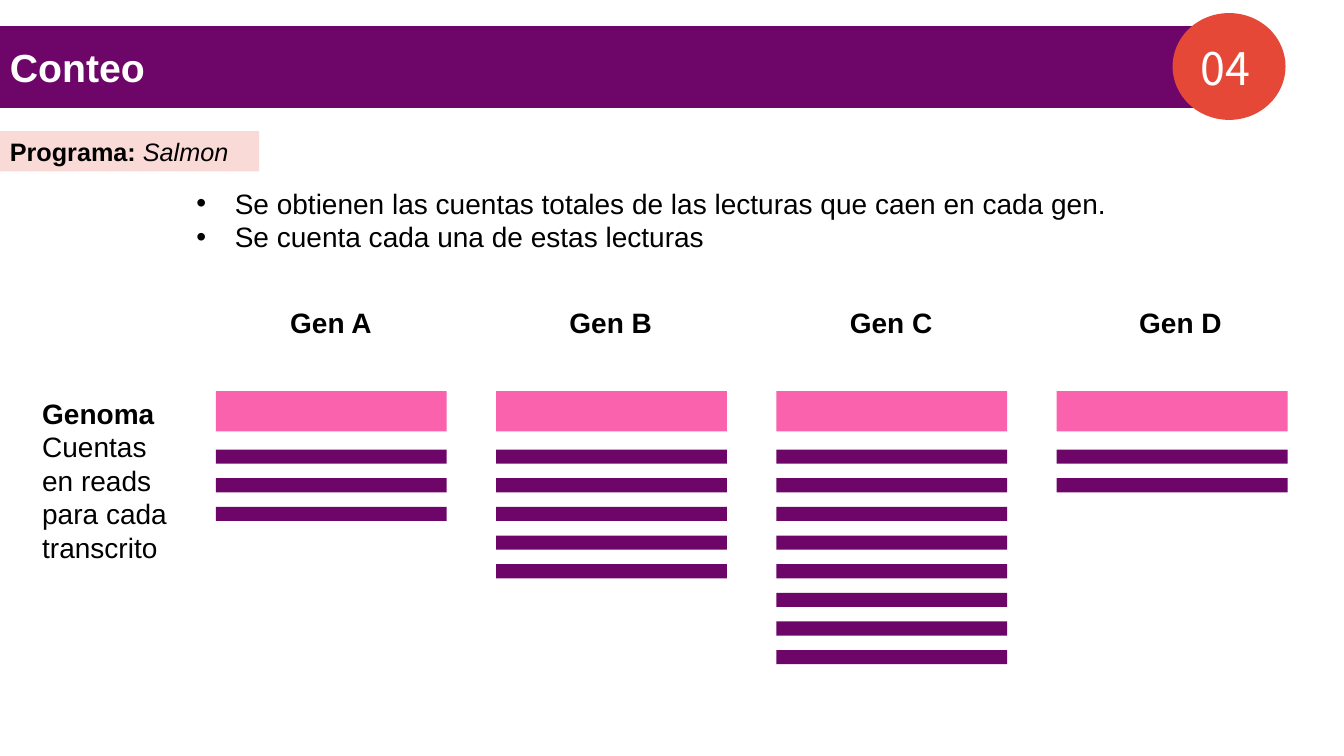
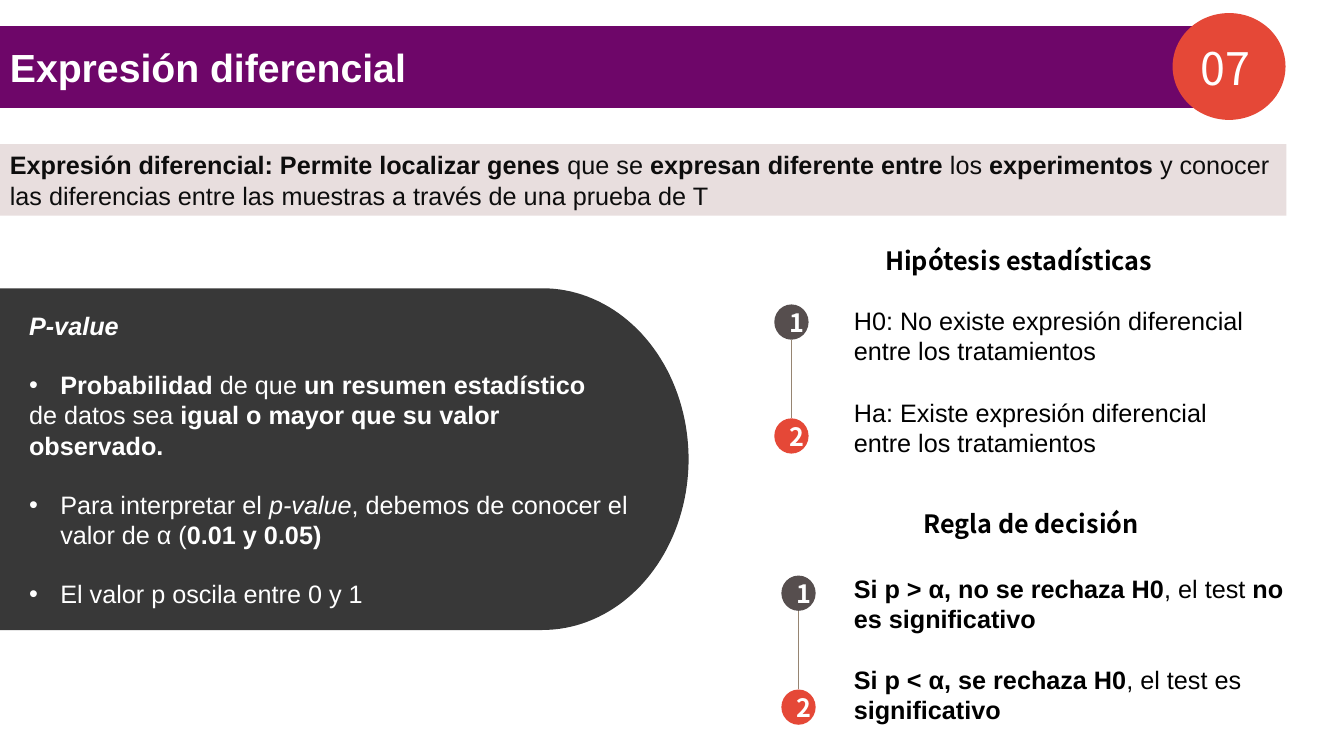
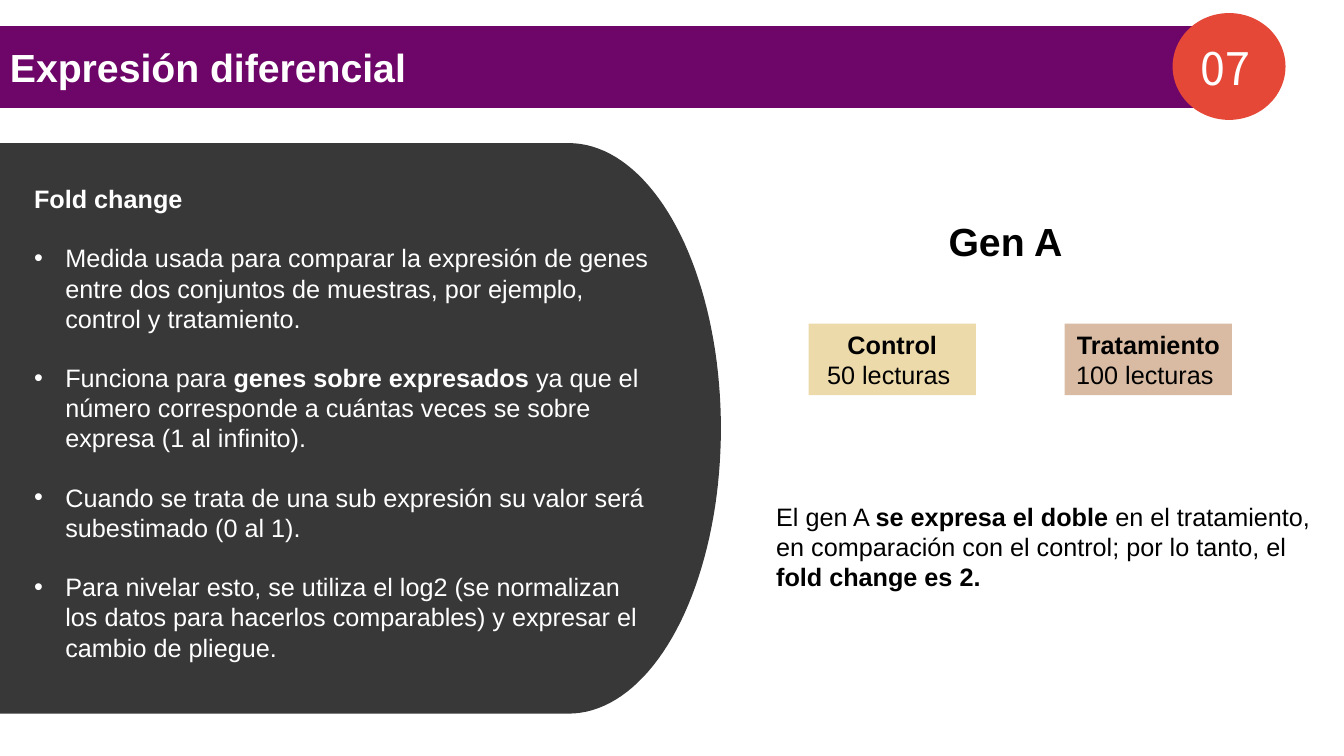
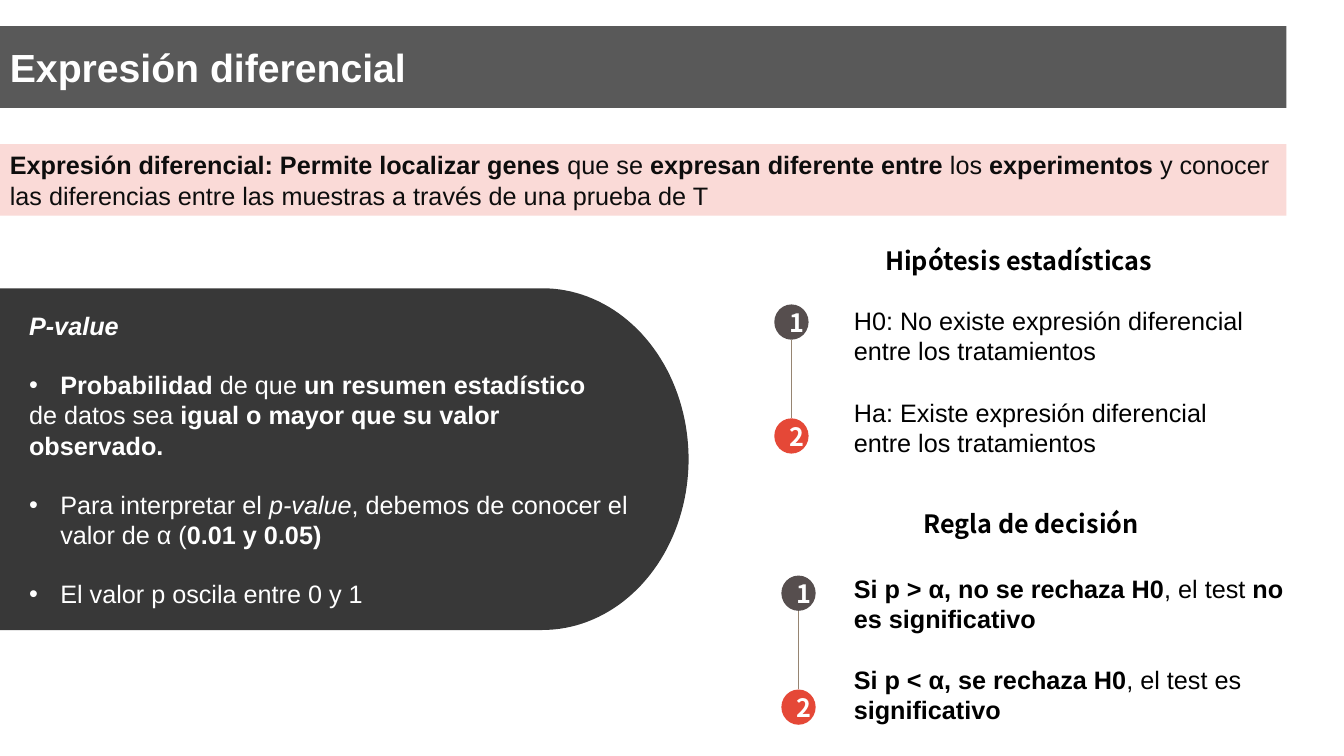
from math import cos, pi, sin
from lxml.etree import SubElement
from pptx import Presentation
from pptx.dml.color import RGBColor
from pptx.enum.shapes import MSO_CONNECTOR, MSO_SHAPE
from pptx.enum.text import MSO_ANCHOR, MSO_AUTO_SIZE, PP_ALIGN
from pptx.oxml.ns import qn
from pptx.util import Inches, Pt

PLUM, RED, PINK, ROSE = "6E0669", "E54837", "FA62AE", "FADAD7"
GRAY, SLATE, SAND, TAN = "595959", "564E4E", "ECDAAA", "D8BBA2"
MIST, LINE, BLACK, INK, WHITE = "E8DEDE", "968572", "000000", "0D0D0D", "FFFFFF"
ARIAL, NOTO = "Arial", "Noto Sans CJK JP"


def rgb(code):
    return RGBColor.from_string(code)


def write(frame, text, size=18, font=ARIAL, color=BLACK, align=PP_ALIGN.LEFT,
          gap=0, indent=0.31, wrap=True):
    """One paragraph per line; * toggles bold, _ toggles italic, a leading • makes a bullet."""
    frame.word_wrap = wrap
    for index, line in enumerate(text.split("\n")):
        para = frame.paragraphs[0] if index == 0 else frame.add_paragraph()
        para.alignment = align
        if line.startswith("•"):
            line = line[1:]
            props = para._p.get_or_add_pPr()
            props.set("marL", str(Inches(indent)))
            props.set("indent", str(-Inches(indent)))
            SubElement(props, qn("a:buFont")).set("typeface", ARIAL)
            SubElement(props, qn("a:buChar")).set("char", "•")
            if index and gap:
                para.space_before = Pt(gap)
        bold = italic = False
        for i, chunk in enumerate(line.split("*")):
            bold = i % 2 == 1
            for j, part in enumerate(chunk.split("_")):
                if j:
                    italic = not italic
                if part:
                    run = para.add_run()
                    run.text = part
                    run.font.name, run.font.size = font, Pt(size)
                    run.font.bold, run.font.italic = bold, italic
                    run.font.color.rgb = rgb(color)


class Deck:
    def __init__(self):
        self.file = Presentation()
        self.file.slide_width, self.file.slide_height = Inches(13.33), Inches(7.5)

    def start(self, title, number=None):
        self.slide = self.file.slides.add_slide(self.file.slide_layouts[6])
        width, fill = (11.89, PLUM) if number else (12.76, GRAY)
        self.shape(0, 0.26, width, 0.81, fill, f"*{title}*", size=28, color=WHITE)
        if number:
            self.shape(11.63, 0.13, 1.12, 1.06, RED, kind=MSO_SHAPE.OVAL)
            self.text(11.81, 0.36, 0.76, 0.64, number, size=32, font=NOTO,
                      color=WHITE, wrap=False)

    def paint(self, shape, fill):
        shape.shadow.inherit = False
        shape.fill.solid()
        shape.fill.fore_color.rgb = rgb(fill)
        shape.line.fill.background()

    def shape(self, x, y, w, h, fill, text="", kind=MSO_SHAPE.RECTANGLE, **style):
        shape = self.slide.shapes.add_shape(kind, Inches(x), Inches(y), Inches(w), Inches(h))
        self.paint(shape, fill)
        if text:
            shape.text_frame.vertical_anchor = MSO_ANCHOR.MIDDLE
            write(shape.text_frame, text, **style)
        return shape

    def text(self, x, y, w, h, text, **style):
        box = self.slide.shapes.add_textbox(Inches(x), Inches(y), Inches(w), Inches(h))
        write(box.text_frame, text, **style)
        box.text_frame.auto_size = MSO_AUTO_SIZE.SHAPE_TO_FIT_TEXT

    def panel(self, y, w, h, flat):
        turns = [pi * step / 80 for step in range(81)]
        arc = [(flat + (w - flat) * sin(turn), y + h / 2 - h / 2 * cos(turn)) for turn in turns]
        form = self.slide.shapes.build_freeform(0, Inches(y), scale=1.0)
        form.add_line_segments([(Inches(a), Inches(b)) for a, b in arc + [(0, y + h)]])
        shape = form.convert_to_shape()
        self.paint(shape, BLACK)
        tint = shape._element.spPr.find(qn("a:solidFill"))[0]
        SubElement(tint, qn("a:alpha")).set("val", "78000")

    def line(self, x, top, end):
        line = self.slide.shapes.add_connector(
            MSO_CONNECTOR.STRAIGHT, Inches(x), Inches(top), Inches(x), Inches(end))
        line.line.color.rgb = rgb(LINE)
        line.line.width = Pt(0.75)
        SubElement(line._element.spPr, qn("a:effectLst"))

    def steps(self, x, y):
        for index, fill in enumerate((SLATE, RED)):
            dot = self.shape(x, y + 1.13 * index, 0.34, 0.35, fill, f"*{index + 1}*",
                             kind=MSO_SHAPE.OVAL, font=NOTO, color=WHITE,
                             align=PP_ALIGN.CENTER)
            frame = dot.text_frame
            frame.margin_left = frame.margin_right = Inches(0.1)
            frame.margin_top = frame.margin_bottom = Inches(0.1)
        self.line(x + 0.17, y + 0.35, y + 1.13)


def count_slide(deck):
    deck.start("Conteo", "04")
    deck.shape(0, 1.3, 2.57, 0.4, ROSE, "*Programa: *_Salmon_")
    deck.text(1.85, 1.8, 9.68, 0.77,
              "•Se obtienen las cuentas totales de las lecturas que caen en cada gen.\n"
              "•Se cuenta cada una de estas lecturas", size=20, indent=0.38)
    deck.text(0.32, 3.88, 1.53, 1.78,
              "*Genoma*\nCuentas en reads para cada transcrito", size=20)
    pitch = (6.45 - 4.46) / 7
    genes = (("A", 3, 2.78), ("B", 5, 5.55), ("C", 8, 8.33), ("D", 2, 11.2))
    for col, (name, reads, left) in enumerate(genes):
        x = 2.14 + 2.78 * col
        deck.text(left, 2.98, 1.03, 0.44, f"*Gen {name}*", size=20, wrap=False)
        deck.shape(x, 3.88, 2.29, 0.4, PINK)
        for row in range(reads):
            deck.shape(x, 4.46 + pitch * row, 2.29, 0.14, PLUM)


def test_slide(deck, fill, number=None):
    deck.start("Expresión diferencial", number)
    deck.shape(0, 1.43, 12.76, 0.71, fill,
               "*Expresión diferencial: Permite localizar genes *que se *expresan diferente "
               "entre *los *experimentos *y conocer las diferencias entre las muestras a "
               "través de una prueba de T", color=INK)
    deck.panel(2.86, 6.83, 3.39, 5.38)
    deck.text(0.19, 3.03, 6.23, 3.13,
              "*_P-value_*\n"
              "•*Probabilidad* de que *un resumen estadístico*\n"
              "de datos sea *igual o mayor que su valor observado.*\n"
              "•Para interpretar el _p-value_, debemos de conocer el valor de α (*0.01 y 0.05)*\n"
              "•El valor p oscila entre 0 y 1", color=WHITE, gap=20.7)
    deck.text(8.68, 2.38, 3.08, 0.4, "*Hipótesis estadísticas*", font=NOTO, wrap=False)
    deck.text(9.06, 4.99, 2.53, 0.4, "*Regla de decisión*", font=NOTO, wrap=False)
    notes = ((2.98, "H0: No existe expresión diferencial\nentre los tratamientos"),
             (3.89, "Ha: Existe expresión diferencial\nentre los tratamientos"),
             (5.64, "*Si p > α, no se rechaza H0*, el test *no es significativo*"),
             (6.54, "*Si p < α, se rechaza H0*, el test es *significativo*"))
    for y, note in notes:
        deck.text(8.37, y, 4.52, 0.71, note)
    deck.steps(7.68, 3.02)
    deck.steps(7.75, 5.71)


def fold_slide(deck):
    deck.start("Expresión diferencial", "07")
    deck.panel(1.42, 7.15, 5.66, 5.64)
    deck.text(0.24, 1.77, 6.31, 4.95,
              "*Fold change*\n"
              "•Medida usada para comparar la expresión de genes entre dos conjuntos de "
              "muestras, por ejemplo, control y tratamiento.\n"
              "•Funciona para *genes sobre expresados *ya que el número corresponde a "
              "cuántas veces se sobre expresa (1 al infinito).\n"
              "•Cuando se trata de una sub expresión su valor será subestimado (0 al 1).\n"
              "•Para nivelar esto, se utiliza el log2 (se normalizan los datos para "
              "hacerlos comparables) y expresar el cambio de pliegue.", color=WHITE, gap=20.7)
    deck.text(9.31, 2.11, 1.34, 0.57, "*Gen A*", size=28, wrap=False)
    for x, fill, text in ((8.02, SAND, "*Control*\n50 lecturas "),
                          (10.56, TAN, "*Tratamiento*\n100 lecturas ")):
        deck.shape(x, 3.21, 1.66, 0.71, fill, text, align=PP_ALIGN.CENTER)
    deck.text(7.6, 4.92, 5.58, 1.01,
              "El gen A *se expresa el doble *en el tratamiento, en comparación con el "
              "control; por lo tanto, el *fold change es 2.*")


def main():
    deck = Deck()
    count_slide(deck)
    test_slide(deck, MIST, "07")
    fold_slide(deck)
    test_slide(deck, ROSE)
    deck.file.save("out.pptx")


if __name__ == "__main__":
    main()
